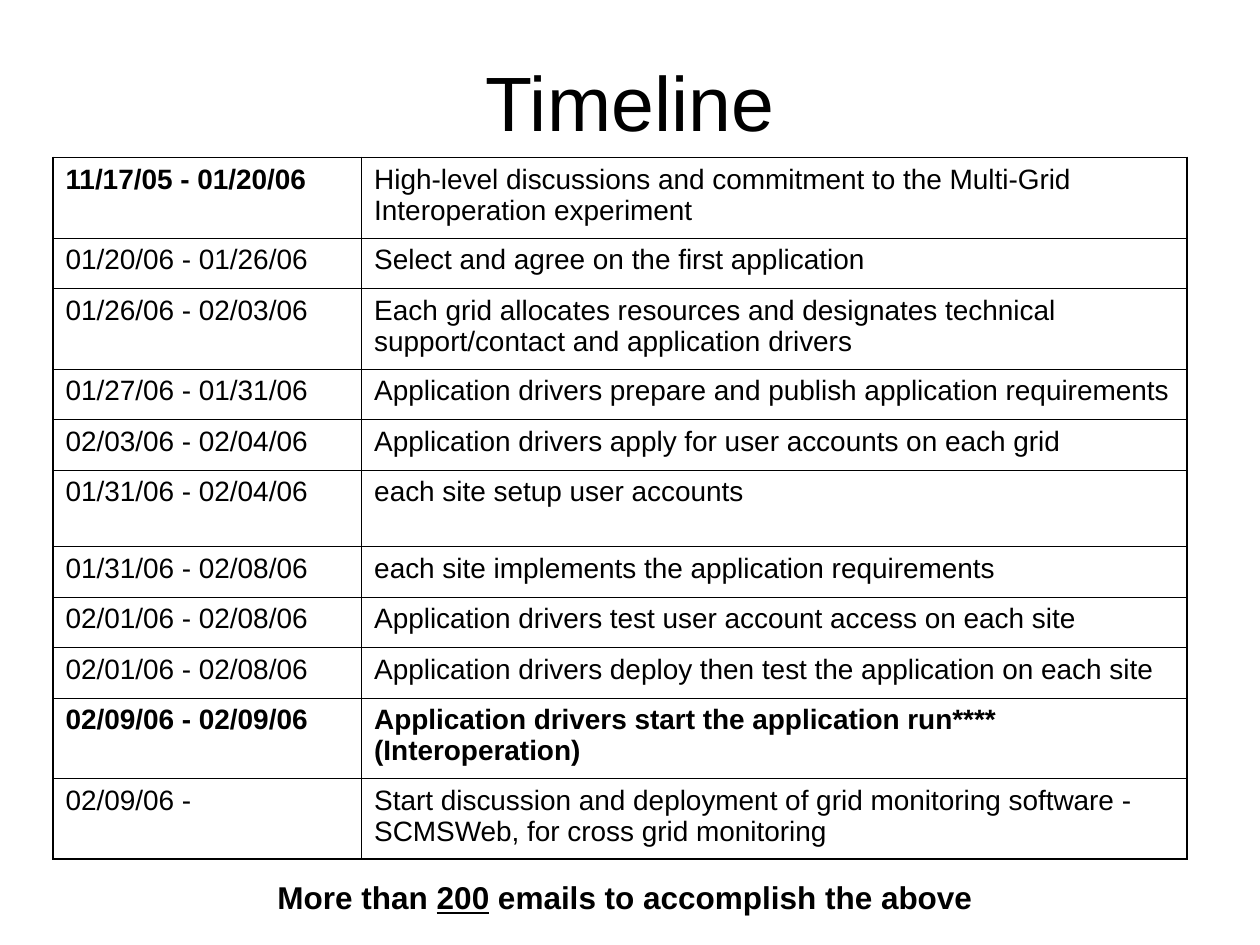
"""Build the Timeline slide: a schedule table with a closing remark."""
from lxml import etree
from pptx import Presentation
from pptx.enum import text
from pptx.oxml import ns
from pptx.util import Inches, Pt

COLORS = {"ink": "000000", "page": "FFFFFF"}
FONT = "Arial"
OUTER, INNER = 1.08, 0.45
SCHEDULE = [
    ("11/17/05 - 01/20/06", "High-level discussions and commitment to the Multi-Grid Interoperation experiment", 0.64),
    ("01/20/06 - 01/26/06", "Select and agree on the first application", 0.4),
    ("01/26/06 - 02/03/06", "Each grid allocates resources and designates technical support/contact and application drivers", 0.64),
    ("01/27/06 - 01/31/06", "Application drivers prepare and publish application requirements", 0.4),
    ("02/03/06 - 02/04/06", "Application drivers apply for user accounts on each grid", 0.4),
    ("01/31/06 - 02/04/06", "each site setup user accounts", 0.61),
    ("01/31/06 - 02/08/06", "each site implements the application requirements", 0.4),
    ("02/01/06 - 02/08/06", "Application drivers test user account access on each site", 0.4),
    ("02/01/06 - 02/08/06", "Application drivers deploy then test the application on each site", 0.4),
    ("02/09/06 - 02/09/06", "Application drivers start the application run**** (Interoperation)", 0.64),
    ("02/09/06 -", "Start discussion and deployment of grid monitoring software - SCMSWeb, for cross grid monitoring", 0.64),
]
BOLD_CELLS = {(0, 0), (9, 0), (9, 1)}


def style(run, size, bold=False):
    run.font.name = FONT
    run.font.size = Pt(size)
    run.font.bold = bold
    run.font.color.rgb = RGBColor.from_string(COLORS["ink"])


def add_border(cell, side, width):
    line = etree.SubElement(cell._tc.get_or_add_tcPr(), ns.qn(f"a:{side}"), w=str(Pt(width)))
    fill = etree.SubElement(line, ns.qn("a:solidFill"))
    etree.SubElement(fill, ns.qn("a:srgbClr"), val=COLORS["ink"])


from pptx.dml.color import RGBColor

prs = Presentation()
prs.slide_width, prs.slide_height = Inches(10), Inches(7.5)
slide = prs.slides.add_slide(prs.slide_layouts[6])
slide.background.fill.solid()
slide.background.fill.fore_color.rgb = RGBColor.from_string(COLORS["page"])

title = slide.shapes.add_textbox(Inches(0.5), Inches(0.17), Inches(9), Inches(1.25)).text_frame
title.word_wrap = True
title.vertical_anchor = text.MSO_ANCHOR.MIDDLE
title.text = "Timeline"
title.paragraphs[0].alignment = text.PP_ALIGN.CENTER
style(title.paragraphs[0].runs[0], 44)

schedule = slide.shapes.add_table(
    len(SCHEDULE), 2, Inches(0.42), Inches(1.25), Inches(9), Inches(5.57)
).table
schedule.first_row = schedule.horz_banding = False
schedule.columns[0].width, schedule.columns[1].width = Inches(2.45), Inches(6.55)
last = len(SCHEDULE) - 1
for row, (dates, task, height) in enumerate(SCHEDULE):
    schedule.rows[row].height = Inches(height)
    for col, wording in enumerate((dates, task)):
        cell = schedule.cell(row, col)
        cell.text = wording
        style(cell.text_frame.paragraphs[0].runs[0], 16, (row, col) in BOLD_CELLS)
        edges = {"lnL": col == 0, "lnR": col == 1, "lnT": row == 0, "lnB": row == last}
        for side, is_outer in edges.items():
            add_border(cell, side, OUTER if is_outer else INNER)
        cell.fill.background()

remark = slide.shapes.add_textbox(Inches(0.5), Inches(6.92), Inches(8.92), Inches(0.4)).text_frame
remark.word_wrap = True
remark.auto_size = text.MSO_AUTO_SIZE.SHAPE_TO_FIT_TEXT
remark.paragraphs[0].alignment = text.PP_ALIGN.CENTER
for wording in ("More than ", "200", " emails to accomplish the above"):
    run = remark.paragraphs[0].add_run()
    run.text = wording
    style(run, 18, True)
    run.font.underline = wording == "200"

prs.save("out.pptx")
